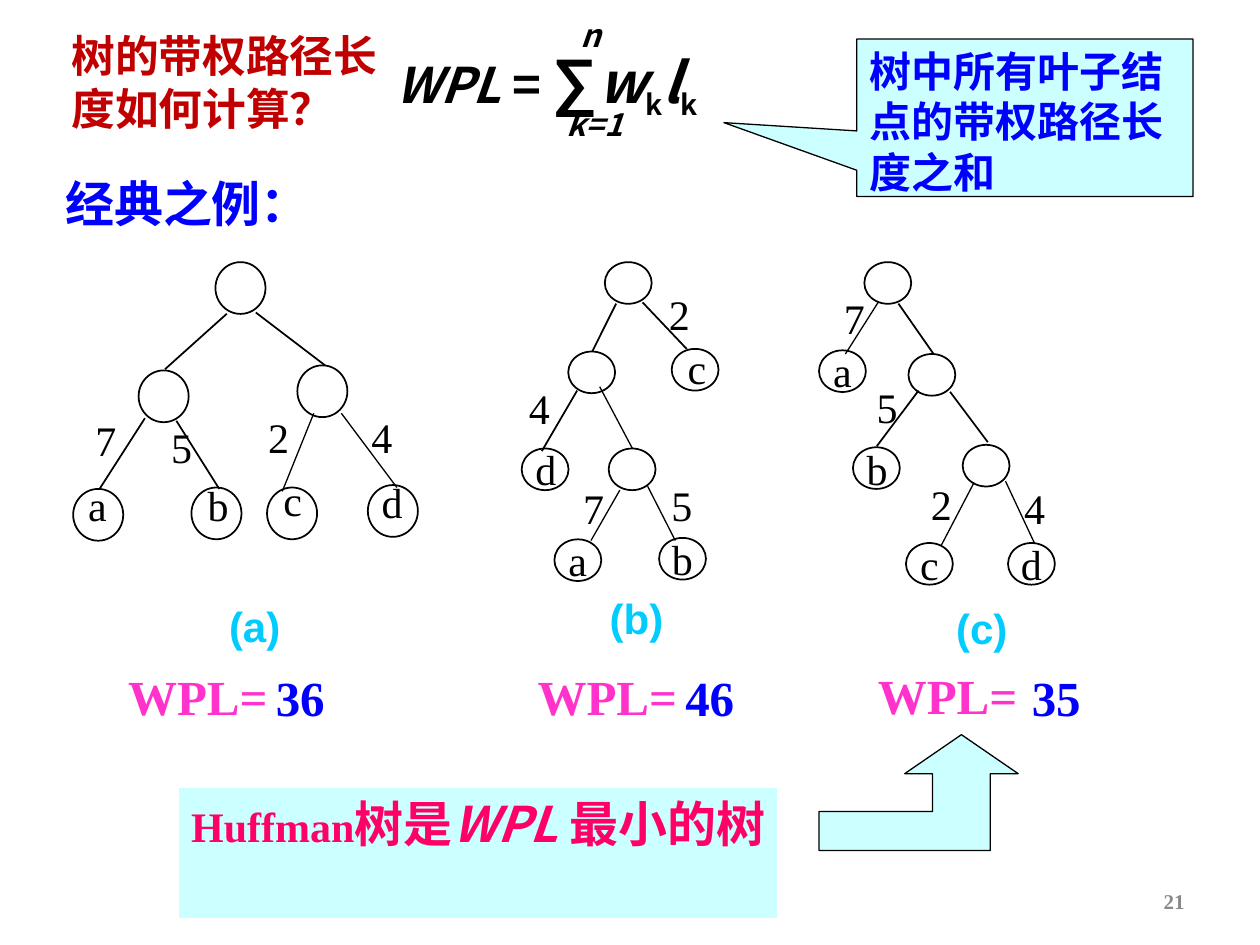
from lxml import etree
from pptx import Presentation
from pptx.dml.color import RGBColor
from pptx.enum.shapes import MSO_CONNECTOR, MSO_SHAPE
from pptx.enum.text import MSO_ANCHOR, PP_ALIGN
from pptx.oxml.ns import qn
from pptx.util import Pt

LINE = MSO_CONNECTOR.STRAIGHT
OVAL, RECT, CALL = MSO_SHAPE.OVAL, MSO_SHAPE.RECTANGLE, MSO_SHAPE.RECTANGULAR_CALLOUT
TOP, MID = MSO_ANCHOR.TOP, MSO_ANCHOR.MIDDLE
LEFT, MIDST, RIGHT = PP_ALIGN.LEFT, PP_ALIGN.CENTER, PP_ALIGN.RIGHT

BLACK = RGBColor(0x00, 0x00, 0x00)
WHITE = RGBColor(0xFF, 0xFF, 0xFF)
RED = RGBColor(0xC0, 0x00, 0x00)
BLUE = RGBColor(0x00, 0x00, 0xFF)
SKY = RGBColor(0x00, 0xCC, 0xFF)
PINK = RGBColor(0xFF, 0x33, 0xCC)
ROSE = RGBColor(0xFF, 0x00, 0x66)
PALE = RGBColor(0xCC, 0xFF, 0xFF)
GRAY = RGBColor(0x89, 0x89, 0x89)

SANS, ROMAN, ARIAL = "Noto Sans CJK SC", "Times New Roman", "Arial"

LETTER = {"name": ROMAN, "size": Pt(24)}
MARK = {"name": ARIAL, "size": Pt(24), "bold": True, "color": SKY}
SCORE = {"name": ROMAN, "size": Pt(28), "bold": True, "color": PINK}
HEAD = {"name": SANS, "size": Pt(28), "bold": True, "color": BLUE}
LIMIT = {"name": SANS, "size": Pt(18), "bold": True, "italic": True}
MATH = {"name": SANS, "size": Pt(28), "bold": True}
TERM = {**MATH, "size": Pt(32), "italic": True}
CLAIM = {**HEAD, "color": ROSE}

TREES = [
    {"size": (28.6, 29.6),
     "nodes": [(123.1, 149.8, ""), (79.2, 211.7, ""), (169.9, 208.8, ""), (41.8, 279.4, ""),
               (109.4, 278.6, ""), (210.2, 277.2, ""), (152.6, 278.6, "")],
     "thick": [(129.6, 179.3, 94.3, 211), (82.8, 239, 56.9, 279.4),
               (146.2, 178.6, 185.8, 208.8), (100.8, 240.5, 125.3, 279.4)],
     "thin": [(195.1, 236.2, 226.8, 278.6), (179.3, 236.2, 161.3, 280.8)],
     "tags": [(43.2, 270.7, "a"), (111.6, 270.7, "b"), (154.8, 267.8, "c"), (211, 268.6, "d"),
              (47.5, 233.3, "7"), (90.7, 237.6, "5"), (146.2, 231.8, "2"), (205.2, 231.8, "4")],
     "mark": (123.8, 339.8, "(a)"), "wpl": (66.2, 377.3), "sum": (150.5, 378, "36")},
    {"size": (26.8, 23.8),
     "nodes": [(345.6, 149.8, ""), (324.7, 200.9, ""), (383.8, 199.4, ""), (298.1, 256.3, ""),
               (347.8, 256.3, ""), (316.8, 308.2, "a"), (376.6, 307.4, "b")],
     "thick": [(352.1, 173.5, 338.4, 200.9), (329.8, 223.2, 309.6, 257.8),
               (367.2, 172.8, 392.4, 199.4)],
     "thin": [(342.7, 221, 361.4, 256.3), (354.2, 280.1, 337.7, 308.9),
              (370.1, 277.9, 385.9, 308.9)],
     "tags": [(385.9, 192.2, "c"), (298.8, 249.8, "d"), (375.1, 161.3, "2"),
              (295.2, 215.3, "4"), (376.6, 270.7, "5"), (326.2, 272.2, "7")],
     "mark": (341.3, 334.8, "(b)"), "wpl": (300.2, 377.3), "sum": (384.5, 378, "46")},
    {"size": (26.8, 23.8),
     "nodes": [(493.9, 149.8, ""), (519.1, 202.3, ""), (487.4, 255.6, ""), (550.1, 254.2, ""),
               (576, 310.3, "d"), (468, 200.2, "a"), (517.7, 310.3, "c")],
     "thick": [(524.9, 223.2, 501.1, 254.9), (513.4, 173.5, 533.5, 202.3),
               (542.9, 223.9, 564.5, 252.7)],
     "thin": [(574.6, 275, 591.1, 310.3), (556.6, 275.8, 537.8, 311.8),
              (501.8, 172.8, 483.1, 202.3)],
     "tags": [(488.2, 249.8, "b"), (475.2, 163.4, "7"), (493.9, 214.6, "5"),
              (524.9, 270, "2"), (578.2, 272.2, "4")],
     "mark": (539.3, 340.6, "(c)"), "wpl": (494.6, 376.6), "sum": (582.5, 378, "35")},
]

ARROW = [(549.4, 419.8), (517, 442.1), (532.8, 442.1), (532.8, 463.7), (468, 463.7),
         (468, 486), (565.9, 486), (565.9, 442.1), (581.8, 442.1)]


def write(shape, runs, wrap=True, anchor=TOP, align=LEFT):
    """Fill a shape with one paragraph of (text, format) runs."""
    frame = shape.text_frame
    frame.word_wrap, frame.vertical_anchor = wrap, anchor
    para = frame.paragraphs[0]
    para.alignment = align
    for text, form in runs:
        run = para.add_run()
        run.text = text
        run.font.color.rgb = form.get("color", BLACK)
        for key in ("name", "size", "bold", "italic"):
            setattr(run.font, key, form.get(key))
        props = run.font._element
        east = etree.SubElement(props, qn("a:ea"))
        east.set("typeface", form["name"])
        if "base" in form:
            props.set("baseline", form["base"])


def label(slide, box, runs, **place):
    """Add a text box."""
    write(slide.shapes.add_textbox(*map(Pt, box)), runs, **place)


def paint(shape, fill=None, edge=BLACK, width=0.75):
    """Set the fill and outline of a shape."""
    shape.shadow.inherit = False
    if fill is None:
        shape.fill.background()
    else:
        shape.fill.solid()
        shape.fill.fore_color.rgb = fill
    shape.line.color.rgb = edge
    shape.line.width = Pt(width)


def panel(slide, kind, box, fill=None, edge=BLACK, width=0.75):
    """Add a painted preset shape."""
    shape = slide.shapes.add_shape(kind, *map(Pt, box))
    paint(shape, fill, edge, width)
    return shape


def branch(slide, ends, width):
    """Add a straight tree edge."""
    line = slide.shapes.add_connector(LINE, *map(Pt, ends))
    line.line.color.rgb = BLACK
    line.line.width = Pt(width)
    etree.SubElement(line._element.spPr, qn("a:effectLst"))


def tree(slide, data):
    """Draw one tree with its weights, caption and path length."""
    for x, y, text in data["nodes"]:
        node = panel(slide, OVAL, (x, y, *data["size"]), width=1)
        if text:
            write(node, [(text, LETTER)], wrap=False, anchor=MID, align=MIDST)
    for key, width in (("thick", 1), ("thin", 0.75)):
        for ends in data[key]:
            branch(slide, ends, width)
    for x, y, text in data["tags"]:
        wide = 25.2 if text in "ac" else 26.6
        label(slide, (x, y, wide, 36), [(text, LETTER)], wrap=False)
    x, y, text = data["mark"]
    label(slide, (x, y, 48, 36), [(text, MARK)])
    label(slide, (*data["wpl"], 98, 41), [("WPL=", SCORE)])
    x, y, text = data["sum"]
    label(slide, (x, y, 46, 41), [(text, {**SCORE, "color": BLUE})])


def formula(slide):
    """Write the path length sum with its limits."""
    sub = {**MATH, "base": "-25000"}
    label(slide, (218.9, 19.4, 208.1, 53.3),
          [("WPL", {**MATH, "italic": True}), (" = ", MATH),
           ("∑", {**MATH, "name": ARIAL, "size": Pt(36)}),
           ("w", TERM), ("k", sub), ("l", TERM), ("k", sub)], wrap=False)
    label(slide, (316.8, 56.2, 58.3, 28.8), [("k=1", LIMIT)])
    label(slide, (324.7, 5.8, 37.4, 28.8), [("n", LIMIT)])


def arrow(slide):
    """Draw the bent arrow that points at the best result."""
    build = slide.shapes.build_freeform(*map(Pt, ARROW[0]))
    build.add_line_segments([tuple(map(Pt, spot)) for spot in ARROW[1:]], close=True)
    paint(build.convert_to_shape(), PALE)


def main():
    """Build and save the slide."""
    deck = Presentation()
    deck.slide_width, deck.slide_height = Pt(720), Pt(540)
    slide = deck.slides.add_slide(deck.slide_layouts[6])
    label(slide, (33.8, 16.6, 207.4, 59.8),
          [("树的带权路径长度如何计算？", {**HEAD, "size": Pt(25), "color": RED})], anchor=MID)
    formula(slide)
    for data in TREES:
        tree(slide, data)
    label(slide, (30.2, 95.8, 156.2, 41), [("经典之例：", HEAD)])
    claim = panel(slide, RECT, (102.2, 450, 342, 74.9), PALE, WHITE)
    write(claim, [("Huffman", {**CLAIM, "name": ROMAN, "size": Pt(24)}), ("树是", CLAIM),
                  ("WPL ", {**CLAIM, "italic": True}), ("最小的树", CLAIM)])
    note = panel(slide, CALL, (489.6, 22.3, 192.2, 90), PALE)
    note.adjustments[0], note.adjustments[1] = -0.895, 0.031
    write(note, [("树中所有叶子结点的带权路径长度之和", {**HEAD, "size": Pt(24)})])
    arrow(slide)
    label(slide, (516.2, 500.4, 167.8, 28.8),
          [("21", {"name": ROMAN, "size": Pt(12), "bold": True, "color": GRAY})],
          anchor=MID, align=RIGHT)
    deck.save("out.pptx")


if __name__ == "__main__":
    main()
